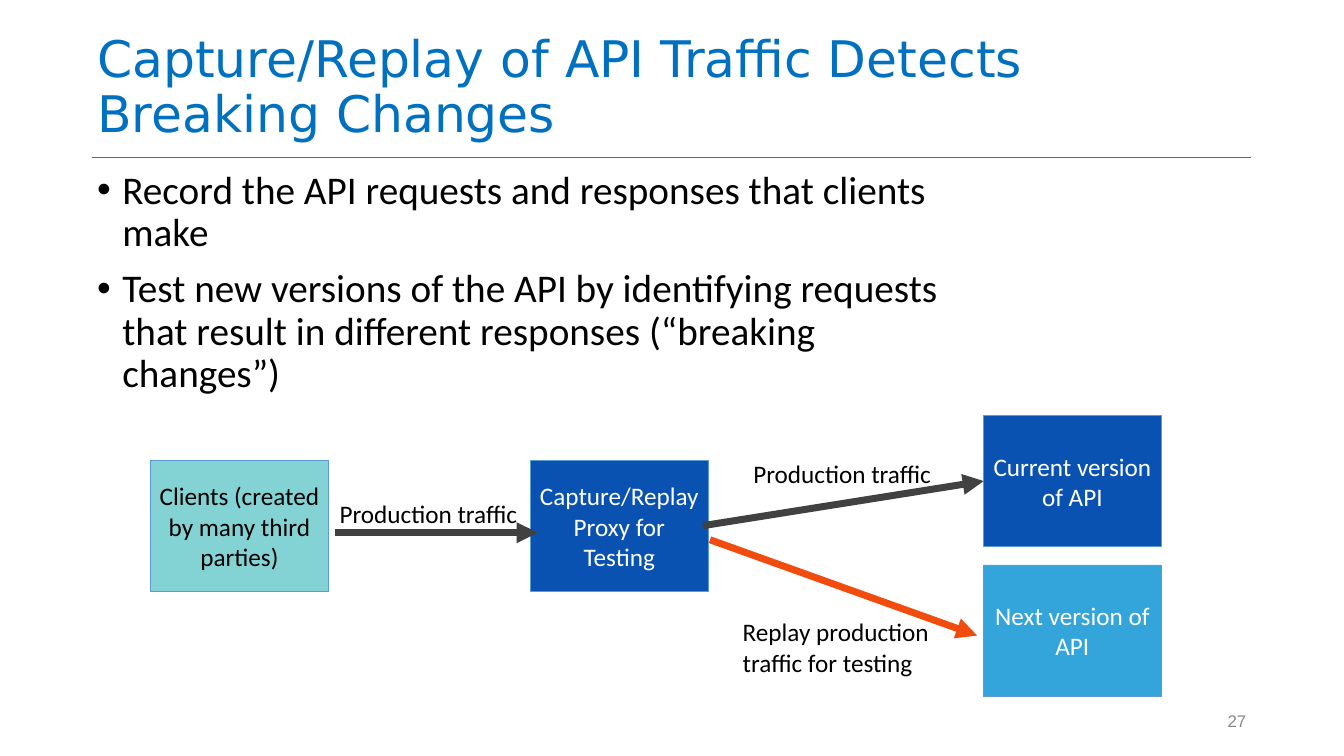
from dataclasses import dataclass

from lxml import etree
from pptx import Presentation
from pptx.dml.color import RGBColor
from pptx.enum.shapes import MSO_CONNECTOR, MSO_SHAPE
from pptx.enum.text import MSO_ANCHOR, MSO_AUTO_SIZE, PP_ALIGN
from pptx.oxml.ns import qn
from pptx.shapes.autoshape import Shape
from pptx.shapes.connector import Connector
from pptx.slide import Slide
from pptx.util import Inches, Pt

RECTANGLE = MSO_SHAPE.RECTANGLE
STRAIGHT = MSO_CONNECTOR.STRAIGHT
FIT_SHAPE = MSO_AUTO_SIZE.SHAPE_TO_FIT_TEXT
TOP, MIDDLE, BOTTOM = MSO_ANCHOR.TOP, MSO_ANCHOR.MIDDLE, MSO_ANCHOR.BOTTOM
LEFT, CENTER, RIGHT = PP_ALIGN.LEFT, PP_ALIGN.CENTER, PP_ALIGN.RIGHT
LEFT_SIDE = 1

BLACK, WHITE = "000000", "FFFFFF"
NAVY, SKY, TEAL = "0A52B1", "34A5DA", "83D3D4"
CHARCOAL, ORANGE = "414141", "F14C0E"
BOX_WIDTH, BOX_HEIGHT = 3.52, 2.61
API_LEFT = 19.52
MARGIN_LEFT, MARGIN_RIGHT = 1.83, 24.83


@dataclass
class TextStyle:
    size: float = 36
    font: str = "Calibri"
    color: str = BLACK
    anchor: MSO_ANCHOR = MIDDLE
    align: PP_ALIGN = LEFT
    line_spacing: float = 1.0
    space_before: float = 0
    bulleted: bool = False


@dataclass
class Component:
    label: str
    left: float
    top: float
    fill: str
    text_color: str = WHITE


@dataclass
class Flow:
    start: tuple[float, float]
    end: tuple[float, float]
    color: str = CHARCOAL


@dataclass
class Caption:
    text: str
    area: tuple[float, float, float, float]
    style: TextStyle
    wrap: bool = False


def rgb(color: str) -> RGBColor:
    return RGBColor.from_string(color)


def add_bullet(paragraph) -> None:
    properties = paragraph._p.get_or_add_pPr()
    properties.set("marL", str(Inches(0.5)))
    properties.set("indent", str(-Inches(0.5)))
    etree.SubElement(properties, qn("a:buFont")).set("typeface", "Arial")
    etree.SubElement(properties, qn("a:buChar")).set("char", "•")


def write(shape: Shape, texts: list[str], style: TextStyle, wrap: bool = True) -> None:
    frame = shape.text_frame
    frame.word_wrap = wrap
    frame.vertical_anchor = style.anchor
    frame.margin_left = frame.margin_right = Inches(0.1)
    frame.margin_top = frame.margin_bottom = Inches(0.1)
    for index, text in enumerate(texts):
        paragraph = frame.add_paragraph() if index else frame.paragraphs[0]
        paragraph.text = text
        paragraph.alignment = style.align
        paragraph.line_spacing = style.line_spacing
        paragraph.space_before = Pt(style.space_before if index else 0)
        if style.bulleted:
            add_bullet(paragraph)
        paragraph.font.size = Pt(style.size)
        paragraph.font.name = style.font
        paragraph.font.color.rgb = rgb(style.color)


def add_text(slide: Slide, area: tuple[float, float, float, float], texts: list[str],
             style: TextStyle, wrap: bool = True) -> Shape:
    box = slide.shapes.add_textbox(*map(Inches, area))
    write(box, texts, style, wrap)
    return box


def add_caption(slide: Slide, caption: Caption) -> None:
    """Add a text box that grows with its text."""
    box = add_text(slide, caption.area, [caption.text], caption.style, caption.wrap)
    box.text_frame.auto_size = FIT_SHAPE


def add_component(slide: Slide, component: Component) -> Shape:
    box = slide.shapes.add_shape(RECTANGLE, Inches(component.left), Inches(component.top),
                                 Inches(BOX_WIDTH), Inches(BOX_HEIGHT))
    box.shadow.inherit = False
    box.fill.solid()
    box.fill.fore_color.rgb = rgb(component.fill)
    box.line.color.rgb = rgb("5B9BD5")
    box.line.width = Pt(1)
    write(box, [component.label], TextStyle(color=component.text_color, align=CENTER))
    return box


def add_line(slide: Slide, flow: Flow, width: float) -> Connector:
    line = slide.shapes.add_connector(STRAIGHT, *map(Inches, flow.start + flow.end))
    line.line.color.rgb = rgb(flow.color)
    line.line.width = Pt(width)
    etree.SubElement(line._element.spPr, qn("a:effectLst"))
    return line


def add_arrow(slide: Slide, flow: Flow) -> Connector:
    arrow = add_line(slide, flow, 10)
    etree.SubElement(arrow.line._get_or_add_ln(), qn("a:tailEnd")).set("type", "triangle")
    return arrow


def main() -> None:
    deck = Presentation()
    deck.slide_width, deck.slide_height = Inches(26.67), Inches(15)
    slide = deck.slides.add_slide(deck.slide_layouts[6])

    add_line(slide, Flow((MARGIN_LEFT, 3.13), (MARGIN_RIGHT, 3.13), "666666"), 1)
    add_text(slide, (MARGIN_LEFT, 0.04, MARGIN_RIGHT - MARGIN_LEFT, 2.9),
             ["Capture/Replay of API Traffic Detects Breaking Changes"],
             TextStyle(72, "DejaVu Sans", "0070C0", BOTTOM, line_spacing=0.9))
    add_text(slide, (MARGIN_LEFT, 3.28, 17.25, 4.88), [
        "Record the API requests and responses that clients make",
        "Test new versions of the API by identifying requests that result in "
        "different responses (“breaking changes”)",
    ], TextStyle(56, anchor=TOP, line_spacing=0.9, space_before=20, bulleted=True))

    current_api = add_component(
        slide, Component("Current version of API", API_LEFT, 8.24, NAVY))
    for component in (
        Component("Next version of API", API_LEFT, 11.21, SKY),
        Component("Clients (created by many third parties)", 2.99, 9.13, TEAL, BLACK),
        Component("Capture/Replay Proxy for Testing", 10.53, 9.13, NAVY),
    ):
        add_component(slide, component)

    proxy_to_current = add_arrow(slide, Flow((13.95, 10.43), (API_LEFT, 9.54)))
    proxy_to_current.end_connect(current_api, LEFT_SIDE)
    add_arrow(slide, Flow((6.64, 10.57), (10.67, 10.57)))
    add_arrow(slide, Flow((14.09, 10.71), (19.39, 12.61), ORANGE))

    flow_style = TextStyle()
    page_number_style = TextStyle(24, "Arial", "888888", align=RIGHT)
    for caption in (
        Caption("Production traffic", (6.64, 9.84, 3.76, 0.7), flow_style),
        Caption("Production traffic", (14.85, 9.05, 3.76, 0.7), flow_style),
        Caption("Replay production traffic for testing", (14.64, 12.18, 4.19, 1.31),
                flow_style, wrap=True),
        Caption("27", (24.23, 14.04, 0.6, 0.53), page_number_style),
    ):
        add_caption(slide, caption)

    deck.save("out.pptx")


if __name__ == "__main__":
    main()
